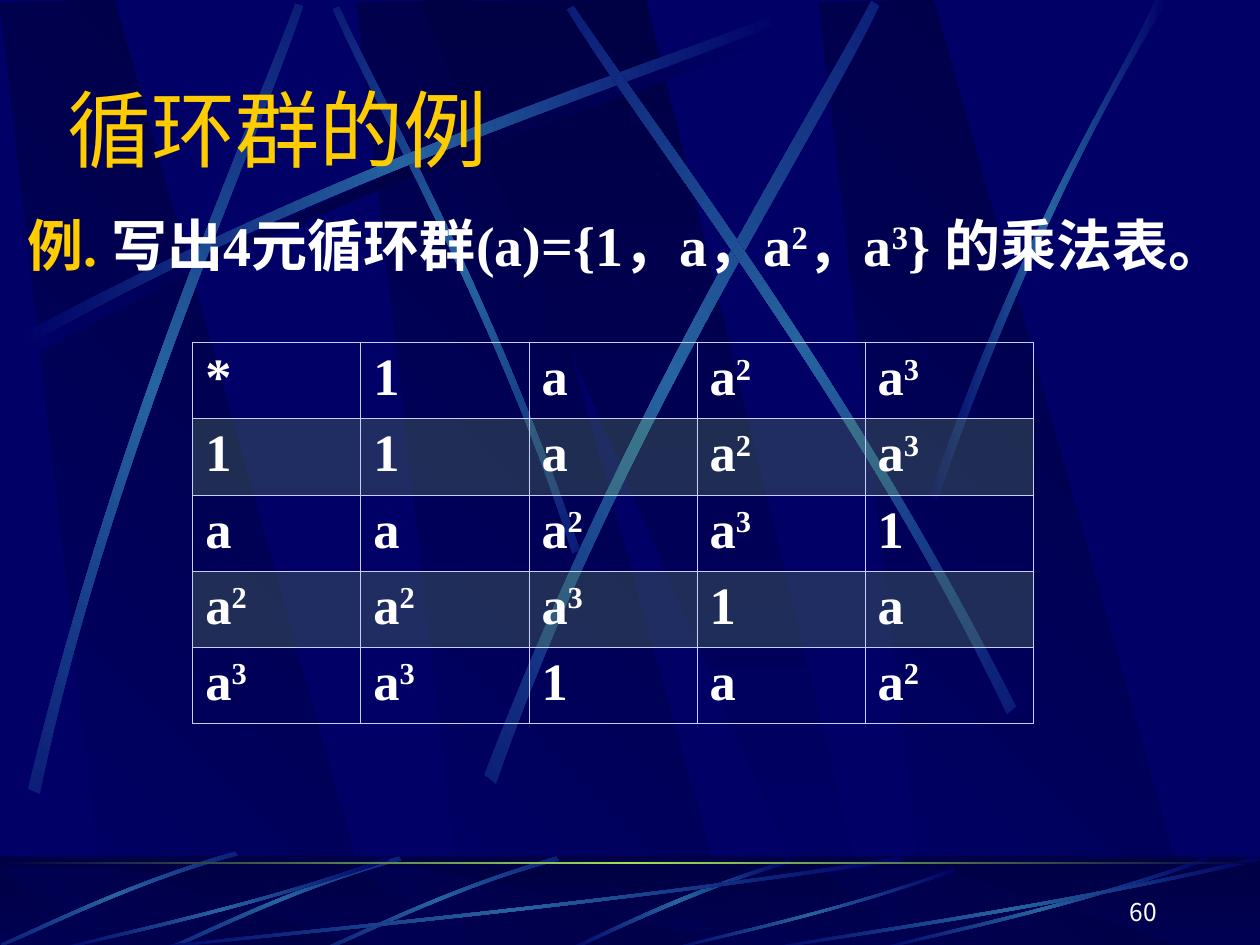
from math import cos, radians, sin

from lxml import etree
from pptx import Presentation
from pptx.dml.color import RGBColor
from pptx.enum.shapes import MSO_SHAPE
from pptx.enum.text import MSO_ANCHOR, PP_ALIGN
from pptx.oxml import parse_xml
from pptx.oxml.ns import qn
from pptx.util import Emu, Inches, Pt

RECT = MSO_SHAPE.RECTANGLE
TOP, MIDDLE, BOTTOM = MSO_ANCHOR.TOP, MSO_ANCHOR.MIDDLE, MSO_ANCHOR.BOTTOM
LEFT, RIGHT = PP_ALIGN.LEFT, PP_ALIGN.RIGHT

NAVY = RGBColor(0x00, 0x00, 0x66)
DARK = RGBColor(0x00, 0x00, 0x44)
BLUE = RGBColor(0x26, 0x63, 0xA0)
GREEN = RGBColor(0x9C, 0xE1, 0x57)
LAVENDER = RGBColor(0xCC, 0xCC, 0xFF)
GOLD = RGBColor(0xFF, 0xCC, 0x00)
WHITE = RGBColor(0xFF, 0xFF, 0xFF)
SERIF, SANS = "Times New Roman", "Noto Sans CJK KR"
NS = 'xmlns:a="http://schemas.openxmlformats.org/drawingml/2006/main"'
GRID_COLUMNS = 10

GLOW = (NAVY, BLUE, NAVY)
SHADE = (NAVY, DARK, NAVY)

PLANE = [(0.86, 7.5), (3.02, 7.52), (0.91, 0), (0, 0.02)]
WEDGE = [(3.33, 0.01), (6.58, 7.51), (6.94, 7.51), (5.13, 0)]
PLANES = [([(x + dx, y) for x, y in PLANE], (NAVY, DARK), 315) for dx in (2.83, 0, 6.5)]
PLANES.append((WEDGE, (DARK, NAVY), 90))

LONG_RAY = [(0.14, 2.67), (2.78, 1.25), (5.18, 0.51), (6.2, 0.1),
            (6.23, 0.16), (5.22, 0.61), (2.48, 1.43), (0.17, 2.77)]
RAYS = [
    ([(x + 0.06, y + 0.08) for x, y in LONG_RAY], 0, SHADE),
    ([(4.6, 4.36), (3.91, 2.34), (3.02, 0.77), (2.69, 0.05),
      (2.64, 0.07), (2.95, 0.79), (3.98, 2.58), (4.54, 4.39)], 45, GLOW),
    (LONG_RAY, 0, GLOW),
    ([(0.23, 6.25), (0.93, 3.34), (1.97, 1.05), (2.35, 0.02),
      (2.41, 0.04), (2.07, 1.08), (0.86, 3.68), (0.32, 6.29)], 311.7, GLOW),
    ([(3.85, 6.14), (4.98, 3.2), (6.38, 1.02), (6.92, 0),
      (6.98, 0.04), (6.49, 1.08), (4.86, 3.55), (3.94, 6.21)], 321.6, GLOW),
    ([(8.06, 5.6), (6.7, 2.93), (5.16, 0.95), (4.55, 0.04),
      (4.5, 0.07), (5.07, 1.01), (6.85, 3.25), (7.99, 5.66)], 34.8, GLOW),
    ([(7.38, 3.93), (8.14, 1.73), (8.88, 0.66), (9.17, 0),
      (9.27, 0), (8.36, 1.45), (7.69, 3.22), (7.44, 3.97)], 0, GLOW),
]
FLOOR_RAY = [(6.27, 6.82), (5.37, 7.09), (4.77, 7.42), (4.48, 7.54),
             (4.53, 7.55), (4.9, 7.37), (5.71, 7), (6.28, 6.85)]
TILTED_RAY = [(4.42, 6.8), (3.55, 7.05), (2.87, 7.4), (2.56, 7.53),
              (2.57, 7.55), (2.88, 7.43), (3.65, 7.03), (4.44, 6.83)]
TILTED_SHIFTS = [(0, 0), (-1.25, 0), (-2.55, -0.04)]
FLAT_RAY = [(6.17, 0.03), (3.49, 0.43), (1.06, 0.64), (0.03, 0.75),
            (0, 0.74), (1.02, 0.61), (3.8, 0.38), (6.14, 0)]
FLAT_BOXES = [(1, 6.8, 6.17, 0.75), (0.42, 6.8, 2.67, 0.75), (5.27, 6.89, 2.31, 0.66),
              (6.92, 6.8, 2.67, 0.75), (6, 6.8, 4, 0.75)]
POWERS = ["1", "a", "a^2", "a^3"]


def write(tf, *parts, size, font=SERIF, bold=False, align=LEFT, anchor=TOP):
    """Write (text, colour) parts as one paragraph; ^ raises the next character."""
    tf.word_wrap = True
    tf.vertical_anchor = anchor
    p = tf.paragraphs[0]
    p.alignment = align
    for text, color in parts:
        for i, piece in enumerate(text.split("^")):
            runs = [(piece[:1], True), (piece[1:], False)] if i else [(piece, False)]
            for content, raised in runs:
                if not content:
                    continue
                r = p.add_run()
                r.text = content
                r.font.size, r.font.bold, r.font.name = Pt(size), bold, font
                r.font.color.rgb = color
                rpr = r.font._element
                etree.SubElement(rpr, qn("a:ea")).set("typeface", SANS)
                if raised:
                    rpr.set("baseline", "30000")


def turn(points, degrees):
    """Turn points about the centre of their bounds."""
    cx, cy = ((min(v) + max(v)) / 2 for v in zip(*points))
    c, s = cos(radians(degrees)), sin(radians(degrees))
    return [(cx + (x - cx) * c - (y - cy) * s, cy + (x - cx) * s + (y - cy) * c)
            for x, y in points]


def set_alpha(element, percent):
    """Set the opacity of the colour in a filled element."""
    color = next(element.iter(qn("a:srgbClr")))
    etree.SubElement(color, qn("a:alpha")).set("val", str(percent * 1000))


class Deck:
    """Holds the grid unit and the current slide, and draws its elements."""

    def __init__(self):
        self.prs = Presentation()
        self.prs.slide_width, self.prs.slide_height = Inches(10), Inches(7.5)
        self.unit = self.prs.slide_width / GRID_COLUMNS
        self.s = self.prs.slides.add_slide(self.prs.slide_layouts[6])
        fill = self.s.background.fill
        fill.solid()
        fill.fore_color.rgb = NAVY

    def grid(self, *cells):
        return [Emu(round(c * self.unit)) for c in cells]

    def plain(self, sp):
        sp.shadow.inherit = False
        sp.line.fill.background()
        return sp

    def gradient(self, sp, colors, angle):
        stops = "".join(
            f'<a:gs pos="{round(100000 * i / (len(colors) - 1))}"><a:srgbClr val="{c}"/></a:gs>'
            for i, c in enumerate(colors))
        sp.fill.background()
        old = sp._element.spPr.find(qn("a:noFill"))
        old.getparent().replace(old, parse_xml(
            f'<a:gradFill {NS} rotWithShape="1"><a:gsLst>{stops}</a:gsLst>'
            f'<a:lin ang="{angle * 60000}" scaled="0"/></a:gradFill>'))

    def bar(self, box, colors, angle=0):
        sp = self.plain(self.s.shapes.add_shape(RECT, *self.grid(*box)))
        self.gradient(sp, colors, angle)

    def veil(self, box, color, opacity):
        sp = self.plain(self.s.shapes.add_shape(RECT, *self.grid(*box)))
        sp.fill.solid()
        sp.fill.fore_color.rgb = color
        set_alpha(sp._element.spPr, opacity)

    def polygon(self, points, colors, angle=0, rotation=0):
        start, *rest = [self.grid(*p) for p in turn(points, -rotation)]
        builder = self.s.shapes.build_freeform(*start)
        builder.add_line_segments(rest, close=True)
        sp = self.plain(builder.convert_to_shape())
        sp.rotation = rotation
        self.gradient(sp, colors, angle)
        return sp

    def ray(self, points, rotation=0, colors=GLOW):
        sp = self.polygon(points, colors, rotation=rotation)
        lines = list(sp._element.iter(qn("a:lnTo")))
        for trio in (lines[:3], lines[4:7]):
            curve = etree.Element(qn("a:cubicBezTo"))
            trio[0].addprevious(curve)
            for line in trio:
                curve.append(line[0])
                line.getparent().remove(line)

    def text(self, box, *parts, **style):
        write(self.s.shapes.add_textbox(*self.grid(*box)).text_frame, *parts, **style)

    def table(self, box, rows):
        tbl = self.s.shapes.add_table(len(rows), len(rows[0]), *self.grid(*box)).table
        tbl.first_row = tbl.horz_banding = False
        for i, row in enumerate(rows):
            for j, value in enumerate(row):
                cell = tbl.cell(i, j)
                write(cell.text_frame, (value, WHITE), size=30, bold=True)
                tcpr = cell._tc.get_or_add_tcPr()
                for side in "LRTB":
                    tcpr.append(parse_xml(
                        f'<a:ln{side} {NS} w="{Pt(0.45)}"><a:solidFill>'
                        f'<a:srgbClr val="{LAVENDER}"/></a:solidFill></a:ln{side}>'))
                if i % 2:
                    cell.fill.solid()
                    cell.fill.fore_color.rgb = GREEN
                    set_alpha(tcpr.find(qn("a:solidFill")), 20)
                else:
                    cell.fill.background()


def main():
    deck = Deck()
    for points, colors, angle in PLANES:
        deck.polygon(points, colors, angle)
    for ray in RAYS:
        deck.ray(*ray)

    deck.bar((0, 6.8, 10, 0.75), (DARK, NAVY), 90)
    for points, colors, angle in PLANES:
        deck.polygon([(x, 6.88 + y * 0.09) for x, y in points], colors, angle)
    deck.veil((0, 6.79, 10, 0.75), DARK, 50)
    deck.ray(FLOOR_RAY)
    for dx, dy in TILTED_SHIFTS:
        deck.ray([(x + dx, y + dy) for x, y in TILTED_RAY], 314.9)
    for left, top, width, height in FLAT_BOXES:
        deck.ray([(left + x * width / 6.17, top + y * height / 0.75) for x, y in FLAT_RAY])
    deck.bar((0, 6.84, 10, 0.02), (DARK, GREEN, DARK))

    deck.text((0.12, 1.62, 9.76, 4.88), ("例. ", GOLD),
              ("写出4元循环群(a)={1，a，a^2，a^3} 的乘法表。", WHITE), size=32, bold=True)
    products = [[POWERS[(i + j) % 4] for j in range(4)] for i in range(4)]
    deck.table((1.53, 2.72, 6.67, 3.02),
               [["*", *POWERS]] + [[p, *row] for p, row in zip(POWERS, products)])
    deck.text((7.2, 6.9, 2.08, 0.5), ("60", WHITE), size=14, font=SANS,
              align=RIGHT, anchor=BOTTOM)
    deck.text((0.44, 0.56, 8.5, 0.91), ("循环群的例", GOLD), size=48, anchor=MIDDLE)
    deck.prs.save("out.pptx")


if __name__ == "__main__":
    main()
